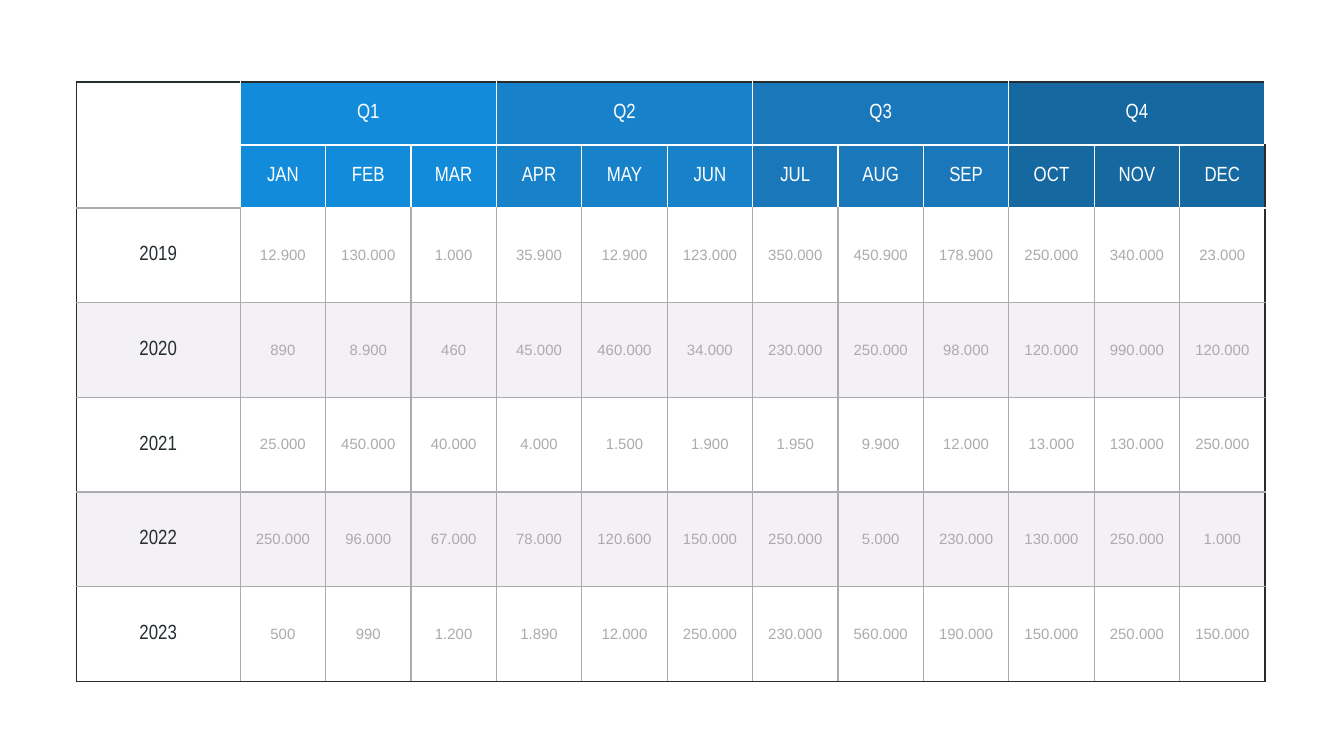
from lxml.etree import SubElement
from pptx import Presentation
from pptx.dml.color import RGBColor
from pptx.enum.text import MSO_ANCHOR, PP_ALIGN
from pptx.oxml.ns import qn
from pptx.util import Cm, Pt

COLORS = {
    "Q1": "138BDB",
    "Q2": "1782CA",
    "Q3": "1A77B9",
    "Q4": "1668A1",
    "white": "FFFFFF",
    "dark": "252D30",
    "gray": "ACA9AF",
    "band": "E8E5E9",
}
QUARTERS = {
    "Q1": ["JAN", "FEB", "MAR"],
    "Q2": ["APR", "MAY", "JUN"],
    "Q3": ["JUL", "AUG", "SEP"],
    "Q4": ["OCT", "NOV", "DEC"],
}
YEARS = {
    "2019": "12.900 130.000 1.000 35.900 12.900 123.000 "
            "350.000 450.900 178.900 250.000 340.000 23.000",
    "2020": "890 8.900 460 45.000 460.000 34.000 "
            "230.000 250.000 98.000 120.000 990.000 120.000",
    "2021": "25.000 450.000 40.000 4.000 1.500 1.900 "
            "1.950 9.900 12.000 13.000 130.000 250.000",
    "2022": "250.000 96.000 67.000 78.000 120.600 150.000 "
            "250.000 5.000 230.000 130.000 250.000 1.000",
    "2023": "500 990 1.200 1.890 12.000 250.000 "
            "230.000 560.000 190.000 150.000 250.000 150.000",
}
HEADER_ROWS = 2
ROWS = HEADER_ROWS + len(YEARS)
COLUMNS = 1 + sum(len(months) for months in QUARTERS.values())


def edge_colors(row, column):
    """Border colours of a cell: dark outside, white in the header, gray in the body."""
    inner = "white" if row < HEADER_ROWS else "gray"
    in_header = column > 0
    return {
        "lnL": "dark" if column == 0 else inner,
        "lnR": "dark" if column == COLUMNS - 1 else inner,
        "lnT": "dark" if row == 0
               else "white" if in_header and row <= HEADER_ROWS else "gray",
        "lnB": "dark" if row == ROWS - 1
               else "white" if in_header and row < HEADER_ROWS else "gray",
    }


class SlideBuilder:
    label_font, label_size = "Arial Narrow", Pt(11)
    value_font, value_size = "Arial", Pt(8)
    border_width = Pt(0.75)

    def __init__(self, slide):
        self.slide = slide

    def table(self, left, top, column_widths, row_heights):
        frame = self.slide.shapes.add_table(
            len(row_heights), len(column_widths), left, top,
            sum(column_widths), sum(row_heights))
        table = frame.table
        table.first_row = table.horz_banding = False
        for column, width in zip(table.columns, column_widths):
            column.width = width
        for row, height in zip(table.rows, row_heights):
            row.height = height
        return table

    def borders(self, cell, edges):
        """Add the border lines; they must come before the fill of the cell."""
        properties = cell._tc.get_or_add_tcPr()
        for tag, color in edges.items():
            line = SubElement(properties, qn(f"a:{tag}"), w=str(self.border_width))
            solid = SubElement(line, qn("a:solidFill"))
            SubElement(solid, qn("a:srgbClr"), val=COLORS[color])

    def fill(self, cell, color, opacity=100):
        cell.fill.solid()
        cell.fill.fore_color.rgb = RGBColor.from_string(COLORS[color])
        if opacity < 100:
            srgb = cell._tc.tcPr.find(qn("a:solidFill")).find(qn("a:srgbClr"))
            SubElement(srgb, qn("a:alpha"), val=str(opacity * 1000))

    def text(self, cell, text, color, is_value=False):
        cell.vertical_anchor = MSO_ANCHOR.MIDDLE
        cell.margin_left = cell.margin_right = Cm(0.1)
        cell.margin_top = cell.margin_bottom = Cm(0.05)
        cell.text_frame.text = text
        paragraph = cell.text_frame.paragraphs[0]
        paragraph.alignment = PP_ALIGN.CENTER
        font = paragraph.runs[0].font
        font.name = self.value_font if is_value else self.label_font
        font.size = self.value_size if is_value else self.label_size
        font.color.rgb = RGBColor.from_string(COLORS[color])


def add_header(builder, table):
    for row in range(HEADER_ROWS):
        table.cell(row, 0).fill.background()
    table.cell(0, 0).merge(table.cell(HEADER_ROWS - 1, 0))
    column = 1
    for quarter, months in QUARTERS.items():
        for offset, month in enumerate(months):
            builder.fill(table.cell(0, column + offset), quarter)
            month_cell = table.cell(1, column + offset)
            builder.fill(month_cell, quarter)
            builder.text(month_cell, month, "white")
        quarter_cell = table.cell(0, column)
        builder.text(quarter_cell, quarter, "white")
        quarter_cell.merge(table.cell(0, column + len(months) - 1))
        column += len(months)


def add_years(builder, table):
    for index, (year, values) in enumerate(YEARS.items()):
        for column, text in enumerate([year, *values.split()]):
            cell = table.cell(HEADER_ROWS + index, column)
            if index % 2:
                builder.fill(cell, "band", opacity=50)
            else:
                builder.fill(cell, "white")
            is_value = column > 0
            builder.text(cell, text, "gray" if is_value else "dark", is_value)


def main():
    presentation = Presentation()
    presentation.slide_width, presentation.slide_height = Cm(25.4), Cm(14.29)
    builder = SlideBuilder(presentation.slides.add_slide(presentation.slide_layouts[6]))

    month_count = COLUMNS - 1
    month_width = Cm(19.37) // month_count
    table = builder.table(
        Cm(1.44), Cm(1.55),
        [Cm(3.1)] + [month_width] * month_count,
        [Cm(1.19)] * HEADER_ROWS + [Cm(1.79)] * len(YEARS))
    for row in range(ROWS):
        for column in range(COLUMNS):
            builder.borders(table.cell(row, column), edge_colors(row, column))
    add_header(builder, table)
    add_years(builder, table)
    presentation.save("out.pptx")


if __name__ == "__main__":
    main()
